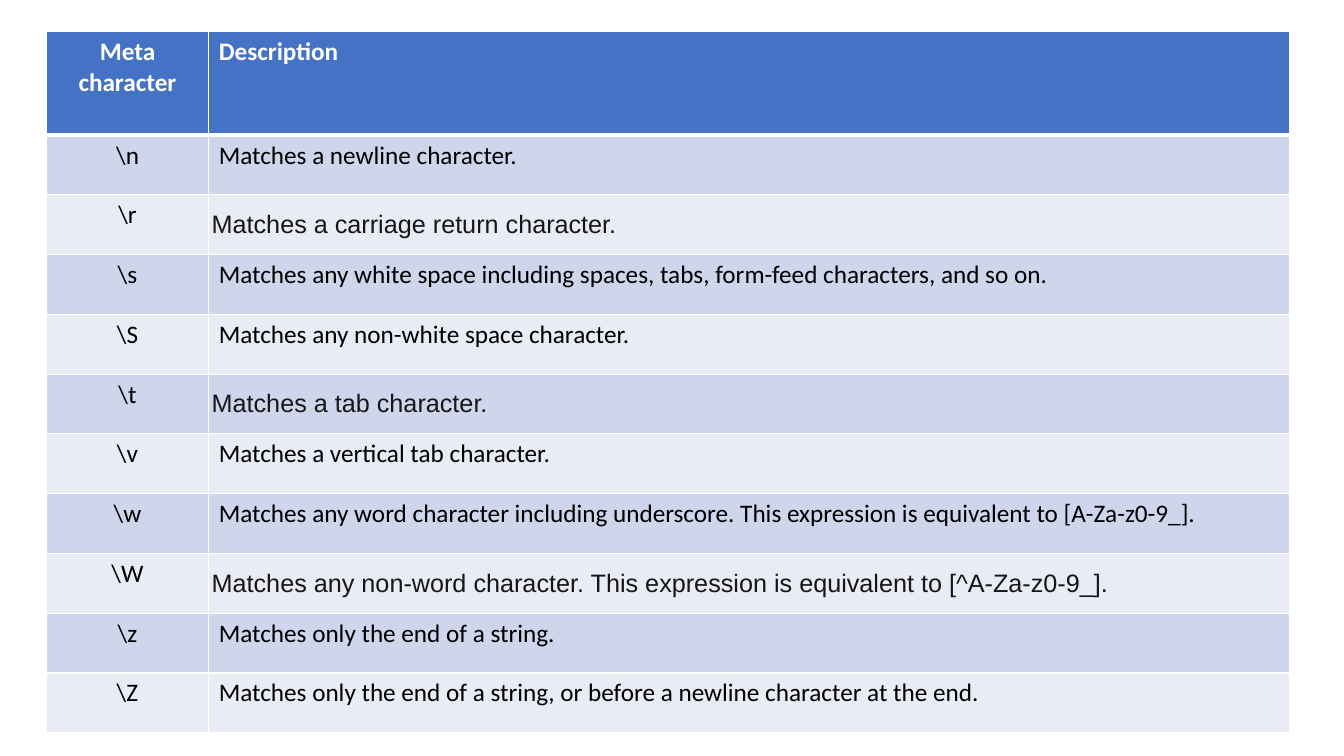
from dataclasses import dataclass

from lxml.etree import SubElement
from pptx import Presentation
from pptx.dml.color import RGBColor
from pptx.enum.text import MSO_ANCHOR as Anchor, PP_ALIGN as Align
from pptx.oxml.ns import qn
from pptx.table import _Cell as Cell
from pptx.util import Inches, Pt

COLORS = {
    "header": "4472C4",
    "odd": "CFD5EA",
    "even": "E9EBF5",
    "white": "FFFFFF",
    "black": "000000",
    "charcoal": "161616",
}
COLUMN_WIDTHS = (1.61, 10.72)
HEADER_HEIGHT, ROW_HEIGHT = 1.03, 0.593


@dataclass(frozen=True)
class MetaCharacter:
    """One table row; a pasted description is tight, centred and in Arial."""
    symbol: str
    description: str
    pasted: bool = False


@dataclass(frozen=True)
class TextStyle:
    """How the text of a cell looks."""
    color: str = "black"
    font: str = "Calibri"
    bold: bool = False


HEADER = TextStyle("white", bold=True)
BODY = TextStyle()
PASTED = TextStyle("charcoal", "Arial")

META_CHARACTERS = (
    MetaCharacter(r"\n", "Matches a newline character."),
    MetaCharacter(r"\r", "Matches a carriage return character.", True),
    MetaCharacter(r"\s", "Matches any white space including spaces, tabs, "
                  "form-feed characters, and so on."),
    MetaCharacter(r"\S", "Matches any non-white space character."),
    MetaCharacter(r"\t", "Matches a tab character.", True),
    MetaCharacter(r"\v", "Matches a vertical tab character."),
    MetaCharacter(r"\w", "Matches any word character including underscore. "
                  "This expression is equivalent to\u00a0[A-Za-z0-9_]."),
    MetaCharacter(r"\W", "Matches any non-word character. "
                  "This expression is equivalent to\u00a0[^A-Za-z0-9_].", True),
    MetaCharacter(r"\z", "Matches only the end of a string."),
    MetaCharacter(r"\Z", "Matches only the end of a string, "
                  "or before a newline character at the end."),
)


def set_borders(cell: Cell, top: float, bottom: float) -> None:
    """Draw white borders, with side lines one point wide."""
    properties = cell._tc.get_or_add_tcPr()
    widths = {"a:lnL": 1, "a:lnR": 1, "a:lnT": top, "a:lnB": bottom}
    for position, (tag, width) in enumerate(widths.items()):
        line = SubElement(properties, qn(tag), w=str(Pt(width)))
        fill = SubElement(line, qn("a:solidFill"))
        SubElement(fill, qn("a:srgbClr"), val=COLORS["white"])
        properties.insert(position, line)


def fill_cell(cell: Cell, text: str, style: TextStyle, fill: str,
              centered: bool) -> None:
    """Write the text of a cell and colour its background."""
    cell.fill.solid()
    cell.fill.fore_color.rgb = RGBColor.from_string(COLORS[fill])
    cell.text = text
    para = cell.text_frame.paragraphs[0]
    para.alignment = Align.CENTER if centered else Align.LEFT
    para.font.name = style.font
    para.font.size = Pt(18)
    para.font.bold = style.bold
    para.font.color.rgb = RGBColor.from_string(COLORS[style.color])


def tighten(cell: Cell) -> None:
    """Centre a cell vertically and give it thin margins."""
    cell.vertical_anchor = Anchor.MIDDLE
    cell.margin_left = cell.margin_right = Inches(0.03)
    cell.margin_top = cell.margin_bottom = Inches(0.03)


deck = Presentation()
deck.slide_width, deck.slide_height = Inches(13.33), Inches(7.5)
page = deck.slides.add_slide(deck.slide_layouts[6])

row_count = len(META_CHARACTERS) + 1
table = page.shapes.add_table(
    row_count, len(COLUMN_WIDTHS), Inches(0.46), Inches(0.31),
    Inches(sum(COLUMN_WIDTHS)),
    Inches(HEADER_HEIGHT + ROW_HEIGHT * len(META_CHARACTERS))).table
for column, width in zip(table.columns, COLUMN_WIDTHS):
    column.width = Inches(width)
for number, row in enumerate(table.rows):
    row.height = Inches(ROW_HEIGHT if number else HEADER_HEIGHT)
    for cell in row.cells:
        set_borders(cell, top=3 if number == 1 else 1,
                    bottom=1 if number else 3)

fill_cell(table.cell(0, 0), "Meta character", HEADER, "header", True)
fill_cell(table.cell(0, 1), "Description", HEADER, "header", False)
for number, meta in enumerate(META_CHARACTERS, start=1):
    band = "odd" if number % 2 else "even"
    fill_cell(table.cell(number, 0), meta.symbol, BODY, band, True)
    description = table.cell(number, 1)
    fill_cell(description, meta.description,
              PASTED if meta.pasted else BODY, band, False)
    if meta.pasted:
        tighten(description)

deck.save("out.pptx")
